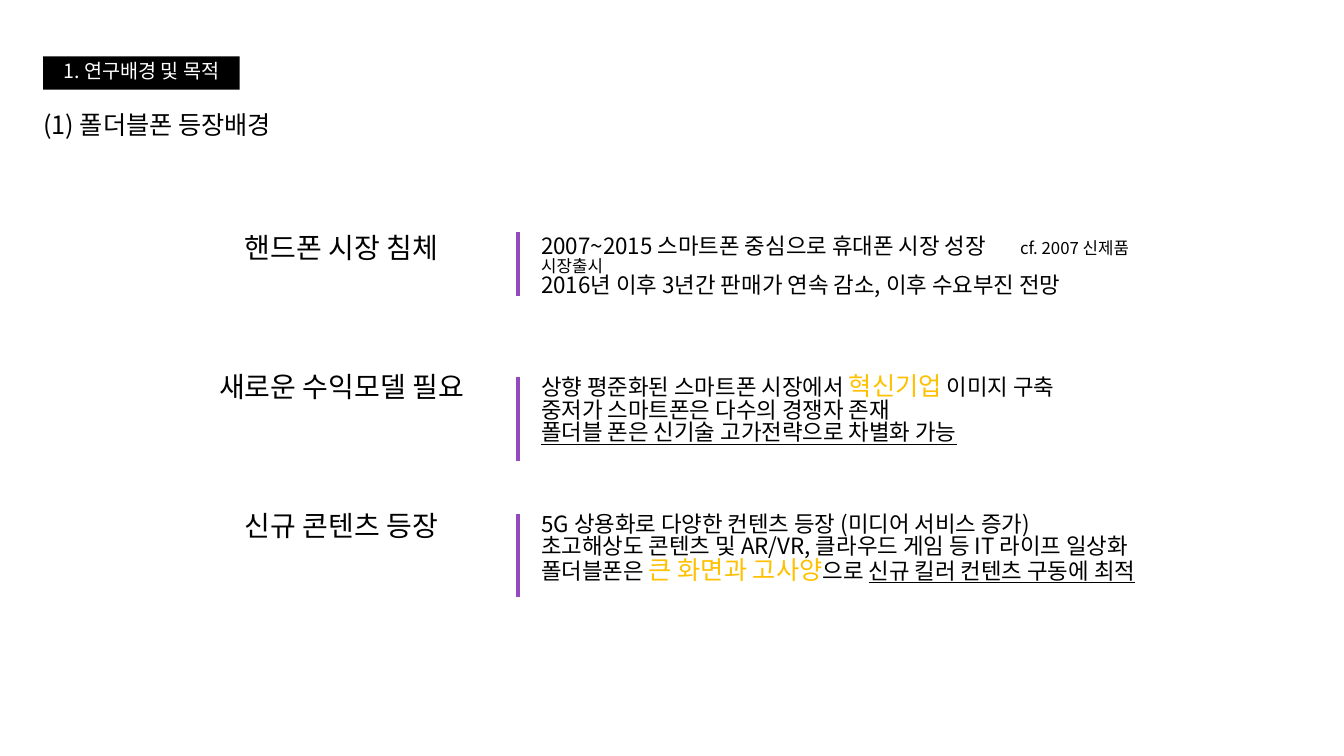
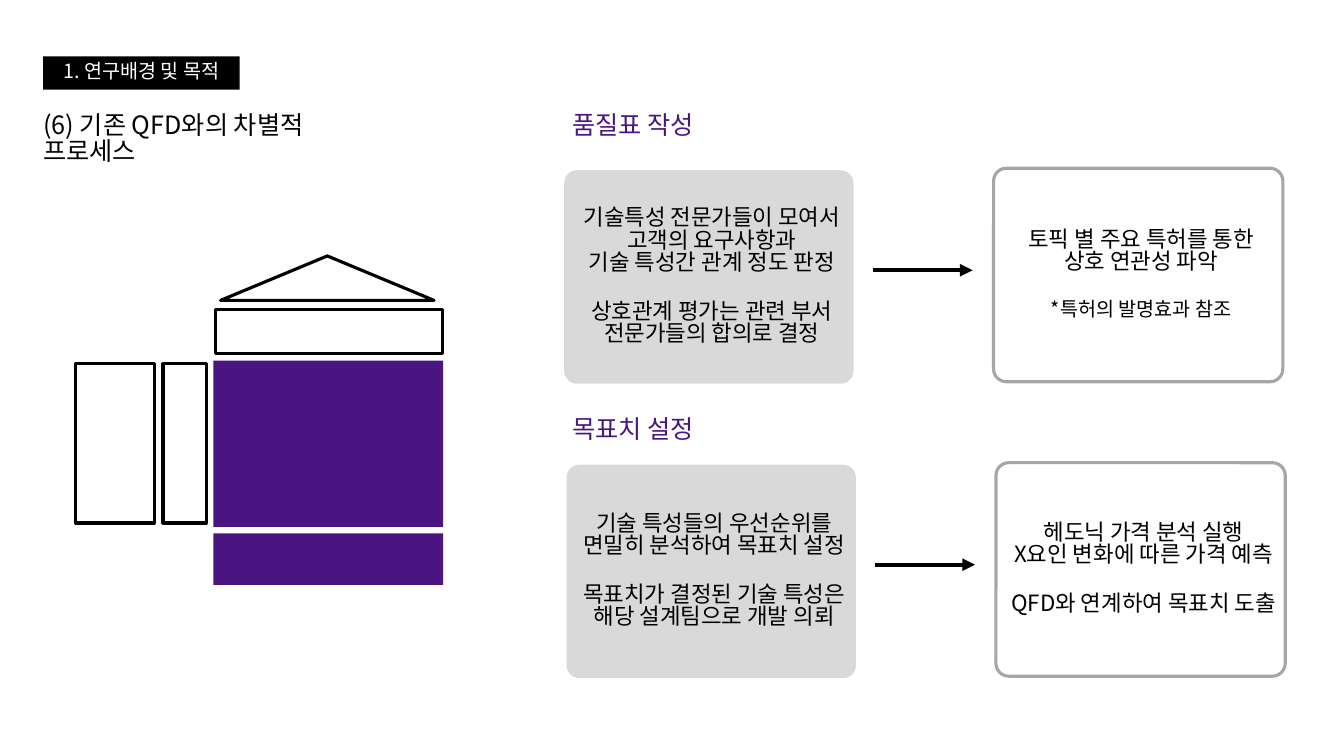
"""Build two slides on the background and purpose of the foldable phone study."""
import pptx
import pptx.util
import pptx.dml.color
import pptx.enum.shapes
import pptx.enum.text
import pptx.oxml
import pptx.oxml.ns
from lxml import etree

Cm, Pt = pptx.util.Cm, pptx.util.Pt
SHAPE = pptx.enum.shapes.MSO_SHAPE
ALIGN = pptx.enum.text.PP_ALIGN
ANCHOR = pptx.enum.text.MSO_ANCHOR
qn = pptx.oxml.ns.qn

FONT = "Noto Sans CJK KR"
BLACK, WHITE, GOLD = "000000", "FFFFFF", "FFC000"
PURPLE, LILAC, PALE, GREY = "4B1581", "9549BF", "D9D9D9", "A6A6A6"
LINE_SPACING = 0.83
BLANK_LINE = 19

SECTION = "1. 연구배경 및 목적"
KEY = {"size": 18, "color": GOLD}
NOTE = {"size": 12}
UNDER = {"underline": True}

BACKGROUND_TITLE = "(1) 폴더블폰 등장배경"
REASONS = [
    {"name": "핸드폰 시장 침체", "rule": (0, 1.63), "lines": [
        [("2007~2015 스마트폰 중심으로 휴대폰 시장 성장\t", {}), ("cf. 2007 신제품 시장출시", NOTE)],
        "2016년 이후 3년간 판매가 연속 감소, 이후 수요부진 전망"]},
    {"name": "새로운 수익모델 필요", "rule": (0.16, 2.11), "lines": [
        [("상향 평준화된 스마트폰 시장에서 ", {}), ("혁신기업", KEY), (" 이미지 구축", {})],
        "중저가 스마트폰은 다수의 경쟁자 존재",
        [("폴더블 폰은 신기술 고가전략으로 차별화 가능", UNDER)]]},
    {"name": "신규 콘텐츠 등장", "rule": (0.1, 2.11), "lines": [
        "5G 상용화로 다양한 컨텐츠 등장 (미디어 서비스 증가)",
        "초고해상도 콘텐츠 및 AR/VR, 클라우드 게임 등 IT 라이프 일상화",
        [("폴더블폰은 ", {}), ("큰 화면과 고사양", KEY), ("으로 ", {}),
         ("신규 킬러 컨텐츠 구동에 최적", UNDER)]]},
]
REASON_TOP, REASON_STEP = 5.84, 3.5
NOTE_TAB = 12.07

PROCESS_TITLE = "(6) 기존 QFD와의 차별적 프로세스"
HOUSE = [
    (SHAPE.RECTANGLE, (5.44, 7.8, 5.72, 1.12), None),
    (SHAPE.RECTANGLE, (4.11, 9.17, 1.09, 4.01), None),
    (SHAPE.RECTANGLE, (1.91, 9.17, 1.98, 4.01), None),
    (SHAPE.ISOSCELES_TRIANGLE, (5.56, 6.45, 5.38, 1.12), None),
    (SHAPE.RECTANGLE, (5.38, 9.09, 5.79, 4.19), PURPLE),
    (SHAPE.RECTANGLE, (5.38, 13.44, 5.79, 1.3), PURPLE),
]
STEPS = [
    {"name": "품질표 작성", "name_top": 2.77,
     "before": [["기술특성 전문가들이 모여서", "고객의 요구사항과", "기술 특성간 관계 정도 판정"],
                ["상호관계 평가는 관련 부서", "전문가들의 합의로 결정"]],
     "after": [["토픽 별 주요 특허를 통한", "상호 연관성 파악"],
               [[("*특허의 발명효과 참조", {"size": 14})]]]},
    {"name": "목표치 설정", "name_top": 10.41,
     "before": [["기술 특성들의 우선순위를", "면밀히 분석하여 목표치 설정"],
                ["목표치가 결정된 기술 특성은", "해당 설계팀으로 개발 의뢰"]],
     "after": [["헤도닉 가격 분석 실행", "X요인 변화에 따른 가격 예측"],
               ["QFD와 연계하여 목표치 도출"]]},
]
STEP_DX, STEP_DY = 0.06, 7.42
CARD_W, CARD_H = 7.29, 5.38


def rgb(color):
    """Turn a hex string into a colour."""
    return pptx.dml.color.RGBColor.from_string(color)


def write(tf, blocks, align=ALIGN.LEFT, tab=None, **base):
    """Fill a text frame with blocks of lines, one blank line apart."""
    p = None
    for block in blocks:
        for i, line in enumerate(block):
            first = p is None
            p = tf.paragraphs[0] if first else tf.add_paragraph()
            gap = BLANK_LINE if i == 0 and not first else 0
            looks = {"alignment": align, "line_spacing": LINE_SPACING, "space_before": Pt(gap)}
            for name, value in looks.items():
                setattr(p, name, value)
            runs = [(line, {})] if isinstance(line, str) else line
            if tab and any("\t" in text for text, _ in runs):
                tabs = etree.SubElement(p._p.get_or_add_pPr(), qn("a:tabLst"))
                etree.SubElement(tabs, qn("a:tab"), pos=str(Cm(tab)), algn="l")
            for text, extra in runs:
                r = p.add_run()
                r.text = text
                look = {"size": 16, "color": BLACK, **base, **extra}
                r.font.color.rgb = rgb(look.pop("color"))
                look.update(size=Pt(look["size"]), name=FONT)
                for name, value in look.items():
                    setattr(r.font, name, value)
                etree.SubElement(r._r.get_or_add_rPr(), qn("a:ea"), typeface=FONT)


def add_text(s, box, lines, **look):
    """Add a wrapping text box."""
    tf = s.shapes.add_textbox(*map(Cm, box)).text_frame
    tf.word_wrap = True
    write(tf, [lines], **look)


def add_shape(s, kind, box, fill=None, line=None):
    """Add a flat shape with an optional fill and outline."""
    sp = s.shapes.add_shape(kind, *map(Cm, box))
    sp.shadow.inherit = False
    if fill:
        sp.fill.solid()
        sp.fill.fore_color.rgb = rgb(fill)
    else:
        sp.fill.background()
    if line:
        sp.line.color.rgb = rgb(line)
        sp.line.width = Pt(2.25)
    else:
        sp.line.fill.background()
    return sp


def add_line(s, x1, y1, x2, y2, color, arrow=False):
    """Add a straight line, with an arrowhead if asked."""
    c = s.shapes.add_connector(pptx.enum.shapes.MSO_CONNECTOR.STRAIGHT, *map(Cm, (x1, y1, x2, y2)))
    c.line.color.rgb = rgb(color)
    c.line.width = Pt(3)
    if arrow:
        etree.SubElement(c.line._get_or_add_ln(), qn("a:tailEnd"), type="triangle")
    etree.SubElement(c._element.spPr, qn("a:effectLst"))


def add_card(s, x, y, blocks, **look):
    """Add a rounded card with centred text."""
    sp = add_shape(s, SHAPE.ROUNDED_RECTANGLE, (x, y, CARD_W, CARD_H), **look)
    sp.adjustments[0] = 0.06
    tf = sp.text_frame
    frame = {"word_wrap": True, "vertical_anchor": ANCHOR.MIDDLE,
             "margin_left": Cm(0.15), "margin_right": 0}
    for name, value in frame.items():
        setattr(tf, name, value)
    write(tf, blocks, align=ALIGN.CENTER)


def add_slide(prs, title):
    """Add a blank slide with the section tag and a title."""
    s = prs.slides.add_slide(prs.slide_layouts[6])
    tag = add_shape(s, SHAPE.RECTANGLE, (1.09, 1.42, 4.95, 0.84), fill=BLACK)
    tag.text_frame.vertical_anchor = ANCHOR.MIDDLE
    write(tag.text_frame, [[SECTION]], align=ALIGN.CENTER, size=14, color=WHITE)
    add_text(s, (0.84, 2.77, 9, 1.02), [title], size=18)
    return s


def build_background(prs):
    """Build the slide with the three reasons."""
    s = add_slide(prs, BACKGROUND_TITLE)
    for i, reason in enumerate(REASONS):
        y = REASON_TOP + i * REASON_STEP
        add_text(s, (5.03, y, 7.16, 1.12), [reason["name"]], align=ALIGN.CENTER, size=20)
        add_text(s, (13.39, y, 16.38, 2.39), reason["lines"], tab=NOTE_TAB)
        drop, length = reason["rule"]
        add_line(s, 13.06, y + drop, 13.06, y + drop + length, LILAC)


def build_process(prs):
    """Build the slide that compares the process steps."""
    s = add_slide(prs, PROCESS_TITLE)
    for kind, box, fill in HOUSE:
        add_shape(s, kind, box, fill=fill, line=None if fill else BLACK)
    for i, step in enumerate(STEPS):
        dx, dy = i * STEP_DX, i * STEP_DY
        add_text(s, (14.17, step["name_top"], 4.9, 1.02), [step["name"]], size=18, color=PURPLE)
        add_card(s, 14.22 + dx, 4.29 + dy, step["before"], fill=PALE)
        add_card(s, 25.04 + dx, 4.24 + dy, step["after"], line=GREY)
        add_line(s, 22 + dx, 6.81 + dy, 24.51 + dx, 6.81 + dy, BLACK, arrow=True)


def main():
    """Build and save the presentation."""
    prs = pptx.Presentation()
    prs.slide_width, prs.slide_height = Cm(33.87), Cm(19.05)
    build_background(prs)
    build_process(prs)
    prs.save("out.pptx")


if __name__ == "__main__":
    main()
